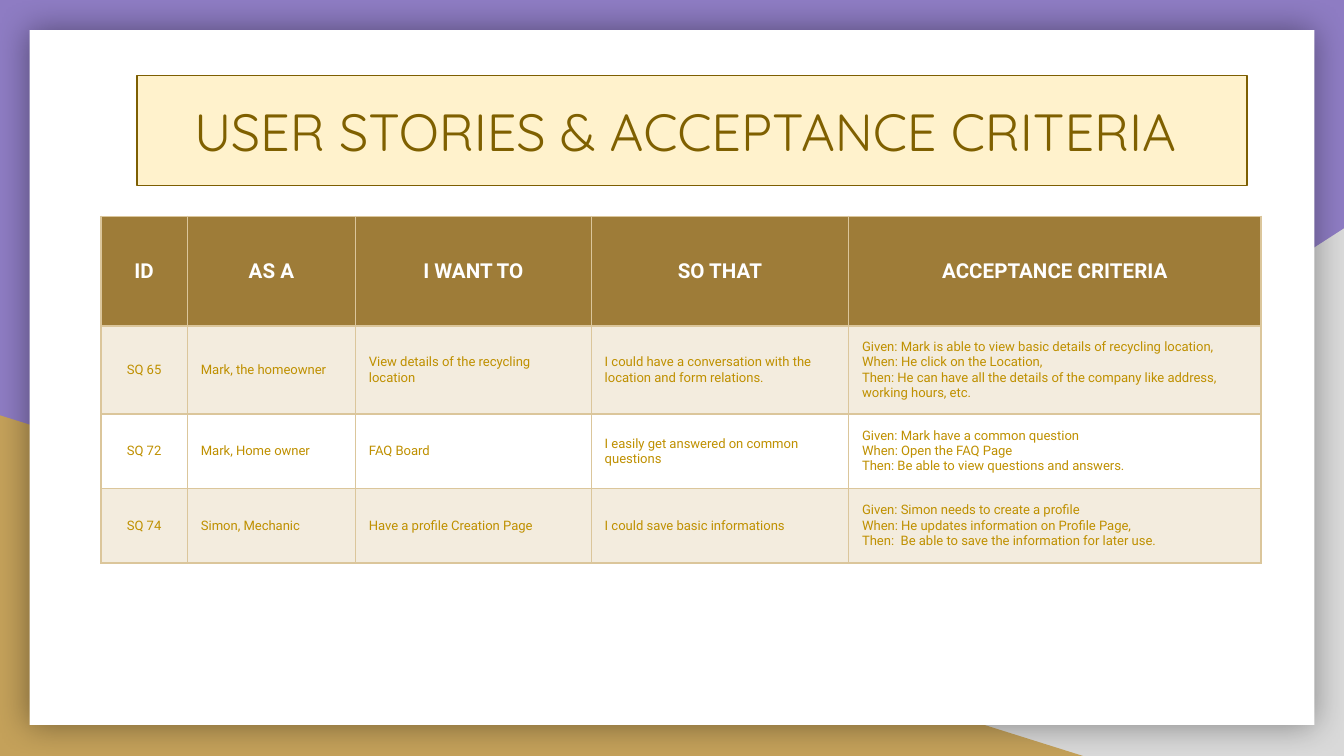
import pptx
import pptx.util
import pptx.dml.color
import pptx.enum.shapes
import pptx.enum.text
import pptx.oxml
import pptx.oxml.ns
from lxml import etree

COLORS = {
    "purple": "8E7CC3", "grey": "D9D9D9", "tan": "C4A15A", "white": "FFFFFF",
    "header": "9E7C38", "border": "DBC69B", "body": "BF9000",
    "cream": "FFF2CC", "outline": "7D5F02", "title": "7F6000", "shadow": "000000",
}
SHAPES = pptx.enum.shapes.MSO_SHAPE
CENTER = pptx.enum.text.PP_ALIGN.CENTER
LEFT = pptx.enum.text.PP_ALIGN.LEFT
MIDDLE = pptx.enum.text.MSO_ANCHOR.MIDDLE
DRAWING = pptx.oxml.ns.nsdecls("a")
rgb = pptx.dml.color.RGBColor.from_string

deck = pptx.Presentation()
deck.slide_width = pptx.util.Inches(10)
deck.slide_height = pptx.util.Inches(5.625)
unit = deck.slide_width / 100  # square grid, 100 columns wide
page = deck.slides.add_slide(deck.slide_layouts[6])
page.background.fill.solid()
page.background.fill.fore_color.rgb = rgb(COLORS["purple"])


def add_panel(kind, left, top, width, height, color):
    panel = page.shapes.add_shape(kind, *[round(n * unit) for n in (left, top, width, height)])
    panel.shadow.inherit = False
    panel.fill.solid()
    panel.fill.fore_color.rgb = rgb(COLORS[color])
    panel.line.fill.background()
    return panel


def write_text(frame, text, align, font, size, color, bold=False):
    frame.text = text
    for para in frame.paragraphs:
        para.alignment = align
        for span in para.runs:
            span.font.name = font
            span.font.size = pptx.util.Pt(size)
            span.font.bold = bold
            span.font.color.rgb = rgb(COLORS[color])


# Background corners
right_corner = add_panel(SHAPES.RIGHT_TRIANGLE, 39.2, 17, 60.8, 39.25, "grey")
right_corner.element.spPr.xfrm.set("flipH", "1")
add_panel(SHAPES.RIGHT_TRIANGLE, 0, 30.9, 80.6, 25.35, "tan")

# White sheet with a soft shadow
sheet = add_panel(SHAPES.RECTANGLE, 2.2, 2.25, 95.6, 51.7, "white")
effects = sheet.element.spPr.find(pptx.oxml.ns.qn("a:effectLst"))
effects.append(pptx.oxml.parse_xml(
    f'<a:outerShdw {DRAWING} blurRad="{pptx.util.Pt(18)}" dist="0" dir="0" algn="ctr" rotWithShape="0">'
    f'<a:srgbClr val="{COLORS["shadow"]}"><a:alpha val="40000"/></a:srgbClr></a:outerShdw>'))

# Stories table
STORIES = [
    ["ID", "AS A", "I WANT TO", "SO THAT", "ACCEPTANCE CRITERIA"],
    ["SQ 65", "Mark, the homeowner", "View details of the recycling location",
     "I could have a conversation with the location and form relations.",
     "Given: Mark is able to view basic details of recycling location,\n"
     "When: He click on the Location,\n"
     "Then: He can have all the details of the company like address, working hours, etc."],
    ["SQ 72", "Mark, Home owner", "FAQ Board", "I easily get answered on common questions",
     "Given: Mark have a common question \vWhen: Open the FAQ Page\n"
     "Then: Be able to view questions and answers."],
    ["SQ 74", "Simon, Mechanic", "Have a profile Creation Page", "I could save basic informations",
     "Given: Simon needs to create a profile\n"
     "When: He updates information on Profile Page,\n"
     "Then:  Be able to save the information for later use."],
]
COLUMN_WIDTHS = [6.45, 12.5, 17.55, 19.15, 30.7]
ROW_HEIGHTS = [8.15, 6.55, 5.55, 5.55]

table = page.shapes.add_table(
    len(ROW_HEIGHTS), len(COLUMN_WIDTHS), round(7.5 * unit), round(16.1 * unit),
    round(sum(COLUMN_WIDTHS) * unit), round(sum(ROW_HEIGHTS) * unit)).table
table.first_row = table.horz_banding = False
for column, width in zip(table.columns, COLUMN_WIDTHS):
    column.width = round(width * unit)
for row, height in zip(table.rows, ROW_HEIGHTS):
    row.height = round(height * unit)

for row_index, story in enumerate(STORIES):
    for column_index, text in enumerate(story):
        cell = table.cell(row_index, column_index)
        is_header = row_index == 0
        cell.vertical_anchor = MIDDLE
        cell.margin_left = cell.margin_right = cell.margin_top = cell.margin_bottom = round(unit)
        align = CENTER if is_header or column_index == 0 else LEFT
        size, color = (11, "white") if is_header else (7, "body")
        write_text(cell.text_frame, text, align, "Roboto", size, color, is_header)

        # Borders come before the fill in the cell properties
        properties = cell._tc.get_or_add_tcPr()
        for side in ("lnL", "lnR", "lnT", "lnB"):
            properties.append(pptx.oxml.parse_xml(
                f'<a:{side} {DRAWING} w="{pptx.util.Pt(1)}"><a:solidFill>'
                f'<a:srgbClr val="{COLORS["border"]}"/></a:solidFill></a:{side}>'))
        if row_index == 2:
            cell.fill.background()
            continue
        cell.fill.solid()
        cell.fill.fore_color.rgb = rgb(COLORS["header" if is_header else "tan"])
        if not is_header:
            tint = properties.find(".//" + pptx.oxml.ns.qn("a:solidFill") + "[last()]")
            tint = properties.findall(pptx.oxml.ns.qn("a:solidFill"))[0][0]
            etree.SubElement(tint, pptx.oxml.ns.qn("a:alpha")).set("val", "20000")

# Title box
title = add_panel(SHAPES.RECTANGLE, 10.2, 5.6, 82.6, 8.2, "cream")
title.line.color.rgb = rgb(COLORS["outline"])
title.line.width = pptx.util.Pt(0.75)
frame = title.text_frame
frame.word_wrap = True
frame.vertical_anchor = MIDDLE
frame.margin_left = frame.margin_right = frame.margin_top = frame.margin_bottom = round(unit)
write_text(frame, "USER STORIES & ACCEPTANCE CRITERIA ", CENTER, "Quicksand", 28, "title")

deck.save("out.pptx")
